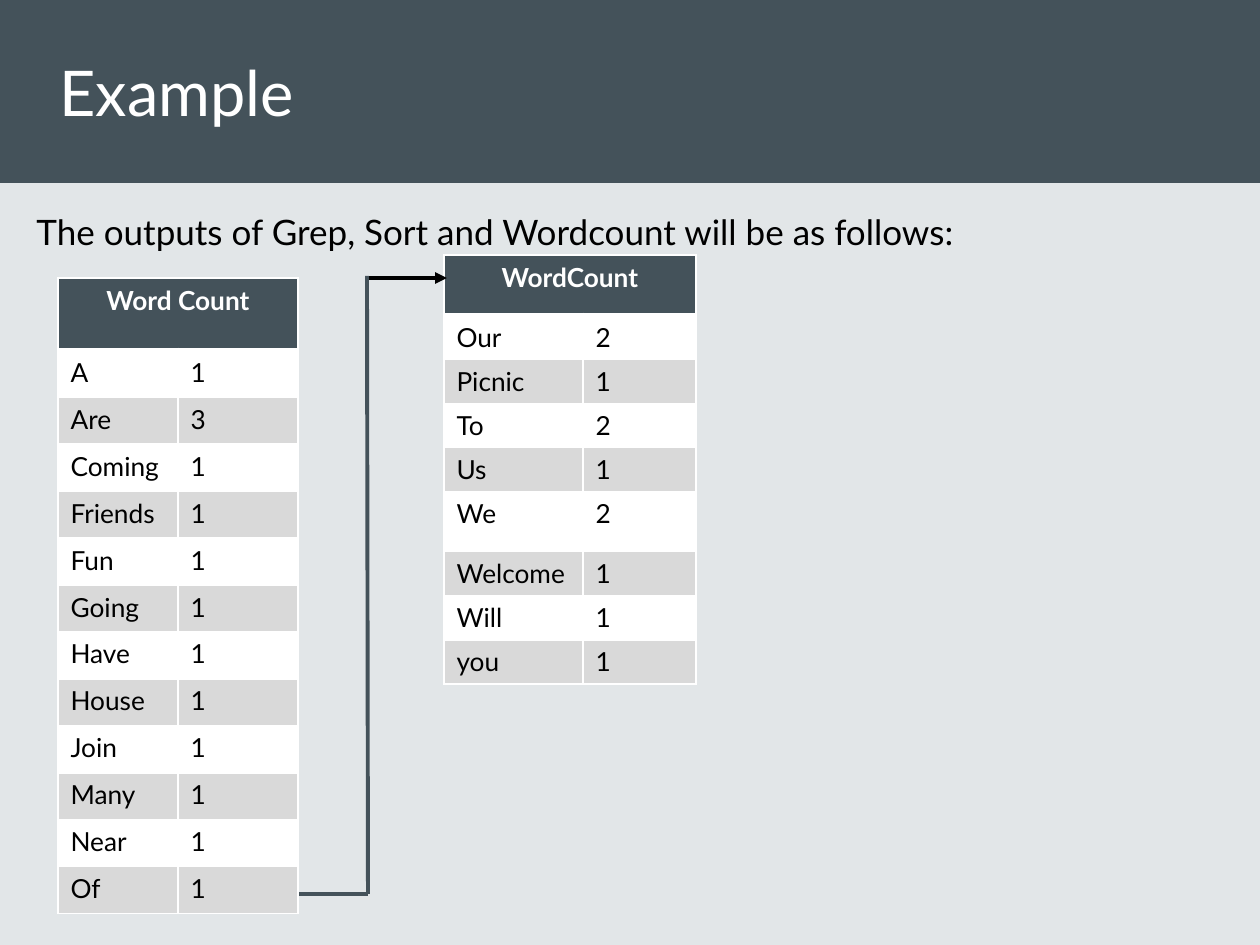
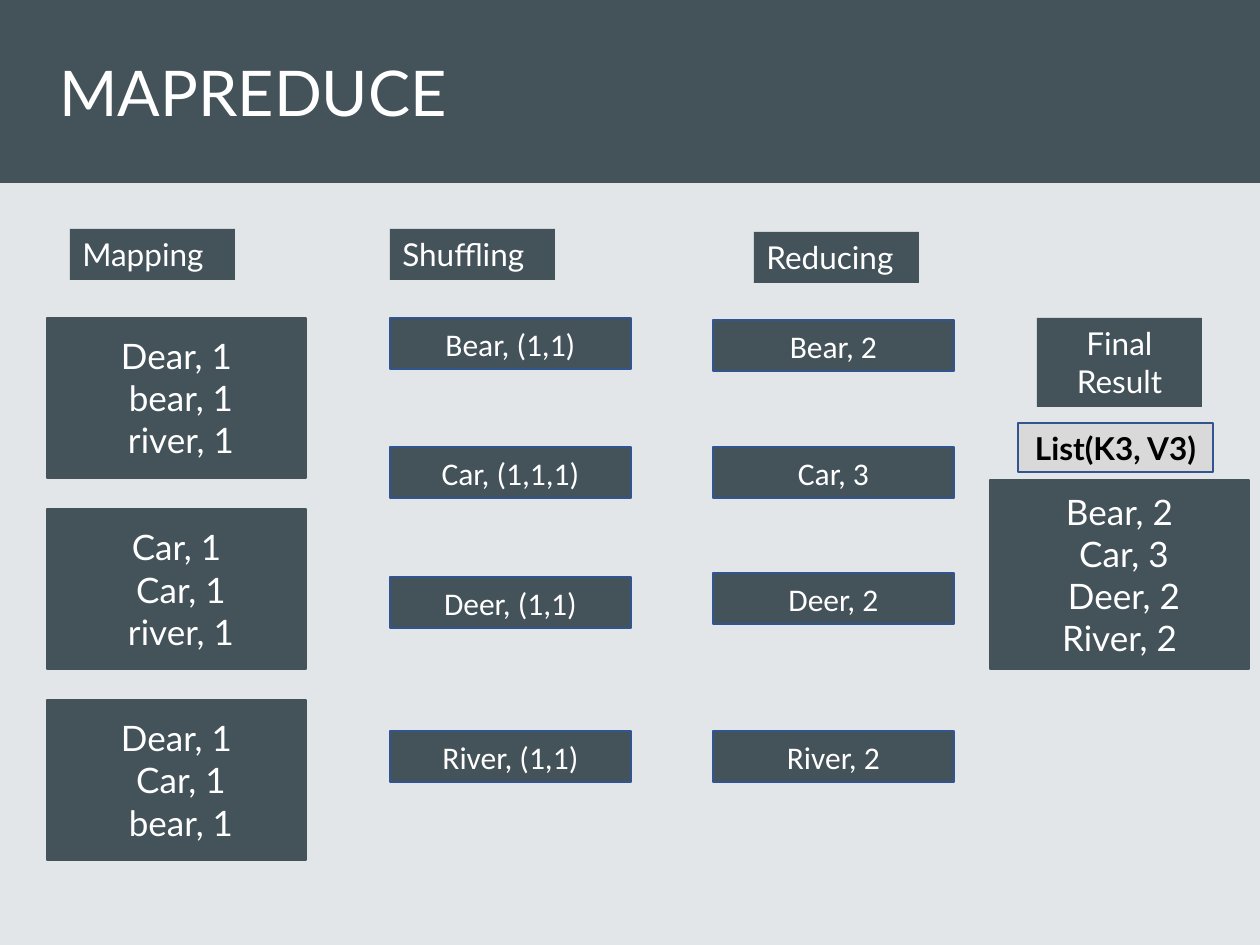
from dataclasses import dataclass, replace
from typing import Optional

import lxml.etree
import pptx
import pptx.dml.color
import pptx.enum.shapes
import pptx.enum.text
import pptx.oxml.ns
import pptx.util

RGBColor = pptx.dml.color.RGBColor
Align = pptx.enum.text.PP_ALIGN
Anchor = pptx.enum.text.MSO_ANCHOR
qn = pptx.oxml.ns.qn

SLATE = RGBColor(0x44, 0x52, 0x5A)
MIST = RGBColor(0xE2, 0xE6, 0xE8)
GREY = RGBColor(0xD9, 0xD9, 0xD9)
BLUE = RGBColor(0x32, 0x54, 0x91)
WHITE = RGBColor(0xFF, 0xFF, 0xFF)
BLACK = RGBColor(0x00, 0x00, 0x00)

PIXELS_PER_INCH = 126
PAGE_WIDTH, PAGE_HEIGHT, BAND_HEIGHT = 1260, 945, 183


@dataclass(frozen=True)
class TextStyle:
    size: int
    color: RGBColor = WHITE
    font: str = "Lato"
    bold: bool = False
    align: Align = Align.LEFT
    anchor: Anchor = Anchor.TOP


@dataclass(frozen=True)
class BoxStyle:
    width: int
    height: int
    text: TextStyle
    fill: RGBColor = SLATE
    line: Optional[RGBColor] = None


@dataclass(frozen=True)
class CountTable:
    left: int
    top: int
    heading: str
    columns: tuple[int, int]
    header_height: int
    row_height: int
    counts: dict[str, int]
    tall_word: str = ""


@dataclass(frozen=True)
class Segment:
    start: tuple[int, int]
    end: tuple[int, int]
    color: RGBColor = SLATE
    arrow: bool = False


TITLE = TextStyle(36, anchor=Anchor.MIDDLE)
BODY = TextStyle(20, BLACK)
TABLE_HEADING = TextStyle(15, bold=True, align=Align.CENTER)
TABLE_CELL = TextStyle(15, BLACK)
HEADING = TextStyle(18)
CENTERED = TextStyle(20, align=Align.CENTER, anchor=Anchor.MIDDLE)

STAGE = BoxStyle(165, 51, HEADING)
RESULT_STAGE = BoxStyle(165, 89, replace(HEADING, align=Align.CENTER))
MAP_BOX = BoxStyle(259, 160, CENTERED, line=SLATE)
RESULT_BOX = replace(MAP_BOX, height=189)
PAIR_BOX = BoxStyle(241, 51, replace(CENTERED, size=18, font="Calibri"), line=BLUE)
TYPE_BOX = BoxStyle(195, 49, replace(CENTERED, size=18, color=BLACK, bold=True), GREY, BLUE)

COUNT_TABLES = [
    CountTable(58, 278, "Word Count", (120, 120), 72, 47,
               {"A": 1, "Are": 3, "Coming": 1, "Friends": 1, "Fun": 1, "Going": 1,
                "Have": 1, "House": 1, "Join": 1, "Many": 1, "Near": 1, "Of": 1}),
    CountTable(444, 255, "WordCount", (139, 113), 60, 44,
               {"Our": 2, "Picnic": 1, "To": 2, "Us": 1, "We": 2,
                "Welcome": 1, "Will": 1, "you": 1}, tall_word="We"),
]

CONTINUATION = [
    Segment((367, 278), (447, 278), BLACK, arrow=True),
    Segment((367, 276), (368, 894)),
    Segment((368, 894), (299, 894)),
]

MAP_TOP, MAP_PITCH = 318, 191
MAPPED = ["Dear, 1\n bear, 1\n river, 1", "Car, 1\n Car, 1\n river, 1", "Dear, 1\n Car, 1\n bear, 1"]
SHUFFLED = {318: "Bear, (1,1)", 447: "Car, (1,1,1)", 577: "Deer, (1,1)", 731: "River, (1,1)"}
REDUCED = {320: "Bear, 2", 447: "Car, 3", 573: "Deer, 2", 731: "River, 2"}


def px(length: int) -> pptx.util.Emu:
    return pptx.util.Emu(round(length * 914400 / PIXELS_PER_INCH))


def write(frame, text: str, style: TextStyle) -> None:
    frame.text = text
    frame.word_wrap = True
    frame.vertical_anchor = style.anchor
    for para in frame.paragraphs:
        para.alignment = style.align
        for span in para.runs:
            span.font.name = style.font
            span.font.size = pptx.util.Pt(style.size)
            span.font.bold = style.bold
            span.font.color.rgb = style.color


def add_text(page, left: int, top: int, width: int, height: int, text: str, style: TextStyle):
    box = page.shapes.add_textbox(px(left), px(top), px(width), px(height))
    write(box.text_frame, text, style)
    return box


def add_box(page, left: int, top: int, style: BoxStyle, text: str = "") -> None:
    box = page.shapes.add_shape(pptx.enum.shapes.MSO_SHAPE.RECTANGLE,
                                px(left), px(top), px(style.width), px(style.height))
    box.shadow.inherit = False
    box.fill.solid()
    box.fill.fore_color.rgb = style.fill
    if style.line is None:
        box.line.fill.background()
    else:
        box.line.color.rgb = style.line
        box.line.width = pptx.util.Pt(1)
    write(box.text_frame, text, style.text)


def add_page(deck, title: str):
    page = deck.slides.add_slide(deck.slide_layouts[6])
    page.background.fill.solid()
    page.background.fill.fore_color.rgb = MIST
    add_box(page, 0, 0, BoxStyle(PAGE_WIDTH, BAND_HEIGHT, TITLE))
    add_text(page, 47, 0, 1155, BAND_HEIGHT, title, TITLE)
    return page


def set_borders(cell, bottom: int = 1) -> None:
    properties = cell._tc.get_or_add_tcPr()
    widths = {"a:lnL": 1, "a:lnR": 1, "a:lnT": 1, "a:lnB": bottom}
    for position, (tag, points) in enumerate(widths.items()):
        border = lxml.etree.Element(qn(tag), w=str(pptx.util.Pt(points)))
        fill = lxml.etree.SubElement(border, qn("a:solidFill"))
        lxml.etree.SubElement(fill, qn("a:srgbClr"), val=str(WHITE))
        properties.insert(position, border)


def fill_cell(cell, text: str, style: TextStyle, color: RGBColor, bottom: int = 1) -> None:
    write(cell.text_frame, text, style)
    cell.fill.solid()
    cell.fill.fore_color.rgb = color
    set_borders(cell, bottom)


def add_count_table(page, data: CountTable) -> None:
    heights = [data.header_height] + [
        data.header_height if word == data.tall_word else data.row_height for word in data.counts]
    table = page.shapes.add_table(len(heights), 2, px(data.left), px(data.top),
                                  px(sum(data.columns)), px(sum(heights))).table
    table.horz_banding = False
    for column, width in zip(table.columns, data.columns):
        column.width = px(width)
    for row, height in zip(table.rows, heights):
        row.height = px(height)
    table.cell(0, 0).merge(table.cell(0, 1))
    for column, text in enumerate((data.heading, "")):
        fill_cell(table.cell(0, column), text, TABLE_HEADING, SLATE, bottom=3)
    for row, (word, count) in enumerate(data.counts.items(), start=1):
        color = WHITE if row % 2 else GREY
        for column, text in enumerate((word, str(count))):
            fill_cell(table.cell(row, column), text, TABLE_CELL, color)


def add_segment(page, segment: Segment) -> None:
    connector = page.shapes.add_connector(pptx.enum.shapes.MSO_CONNECTOR.STRAIGHT,
                                          *map(px, segment.start + segment.end))
    connector.line.color.rgb = segment.color
    connector.line.width = pptx.util.Pt(2.25)
    properties = connector._element.spPr
    if segment.arrow:
        lxml.etree.SubElement(properties.find(qn("a:ln")), qn("a:tailEnd"), type="triangle")
    lxml.etree.SubElement(properties, qn("a:effectLst"))


def build_example(deck) -> None:
    page = add_page(deck, "Example")
    body = add_text(page, 24, BAND_HEIGHT, 1179, 731,
                    "The outputs of Grep, Sort and Wordcount will be as follows:", BODY)
    body.text_frame.paragraphs[0].line_spacing = 1.5
    for data in COUNT_TABLES:
        add_count_table(page, data)
    for segment in CONTINUATION:
        add_segment(page, segment)


def build_mapreduce(deck) -> None:
    page = add_page(deck, "MAPREDUCE")
    add_box(page, 70, 229, STAGE, "Mapping")
    for index, text in enumerate(MAPPED):
        add_box(page, 47, MAP_TOP + index * MAP_PITCH, MAP_BOX, text)
    add_box(page, 390, 229, STAGE, "Shuffling")
    add_box(page, 754, 232, STAGE, "Reducing")
    for left, pairs in ((390, SHUFFLED), (713, REDUCED)):
        for top, text in pairs.items():
            add_box(page, left, top, PAIR_BOX, text)
    add_box(page, 1037, 318, RESULT_STAGE, "Final Result")
    add_box(page, 990, 480, RESULT_BOX, "Bear, 2\n Car, 3\n Deer, 2\nRiver, 2")
    add_box(page, 1018, 423, TYPE_BOX, "List(K3, V3)")


def main() -> None:
    deck = pptx.Presentation()
    deck.slide_width, deck.slide_height = px(PAGE_WIDTH), px(PAGE_HEIGHT)
    build_example(deck)
    build_mapreduce(deck)
    deck.save("out.pptx")


if __name__ == "__main__":
    main()
